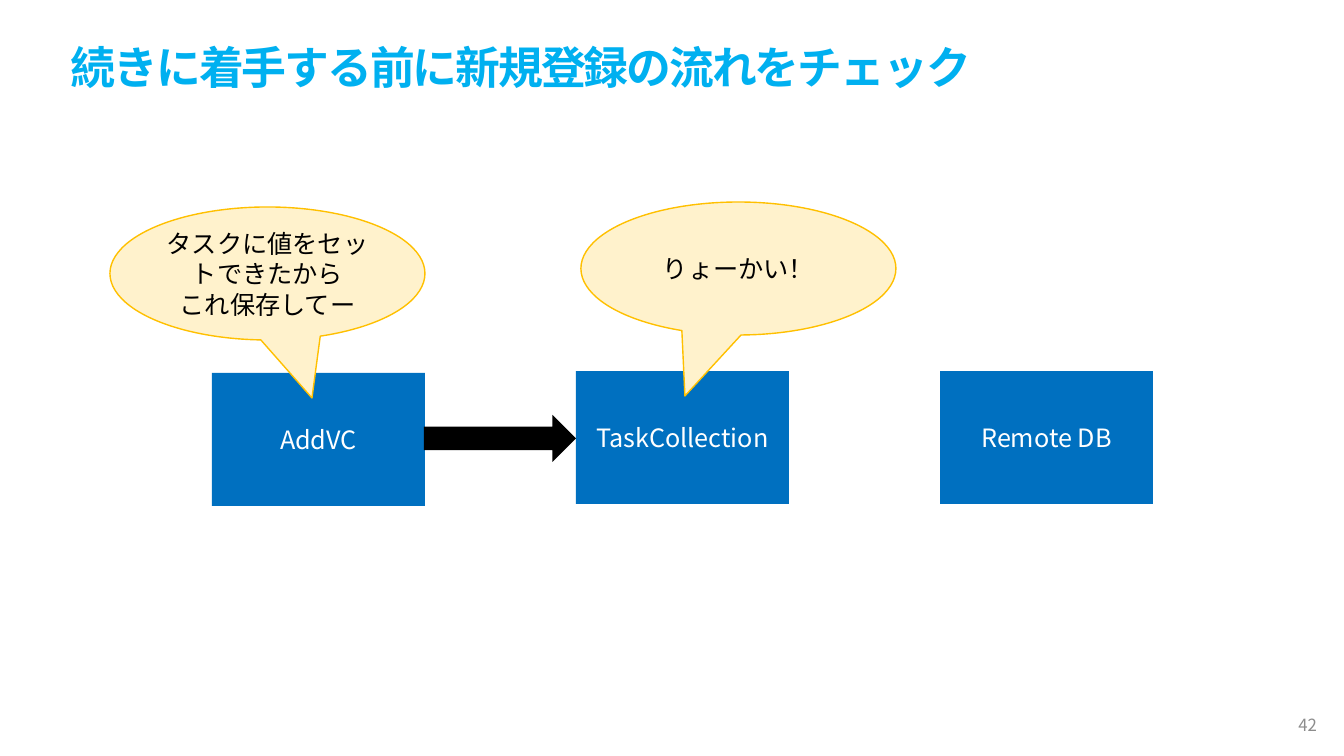
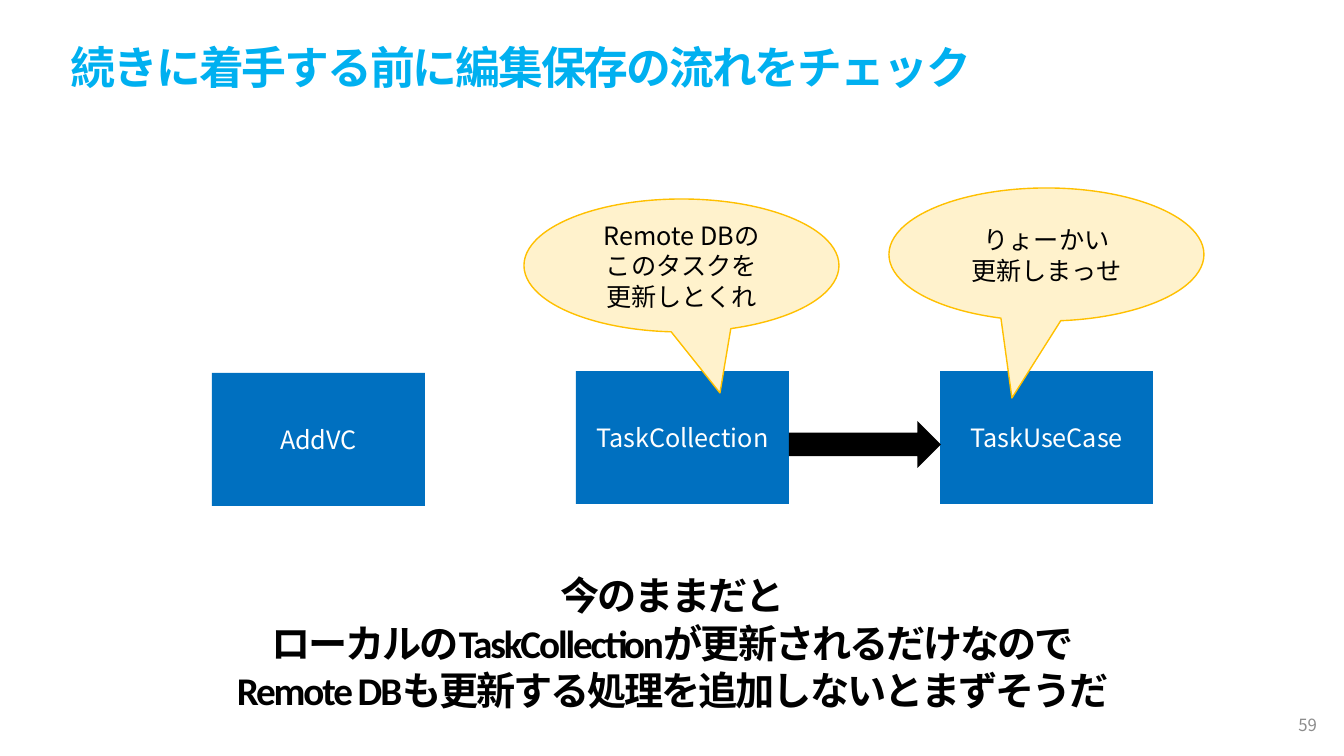
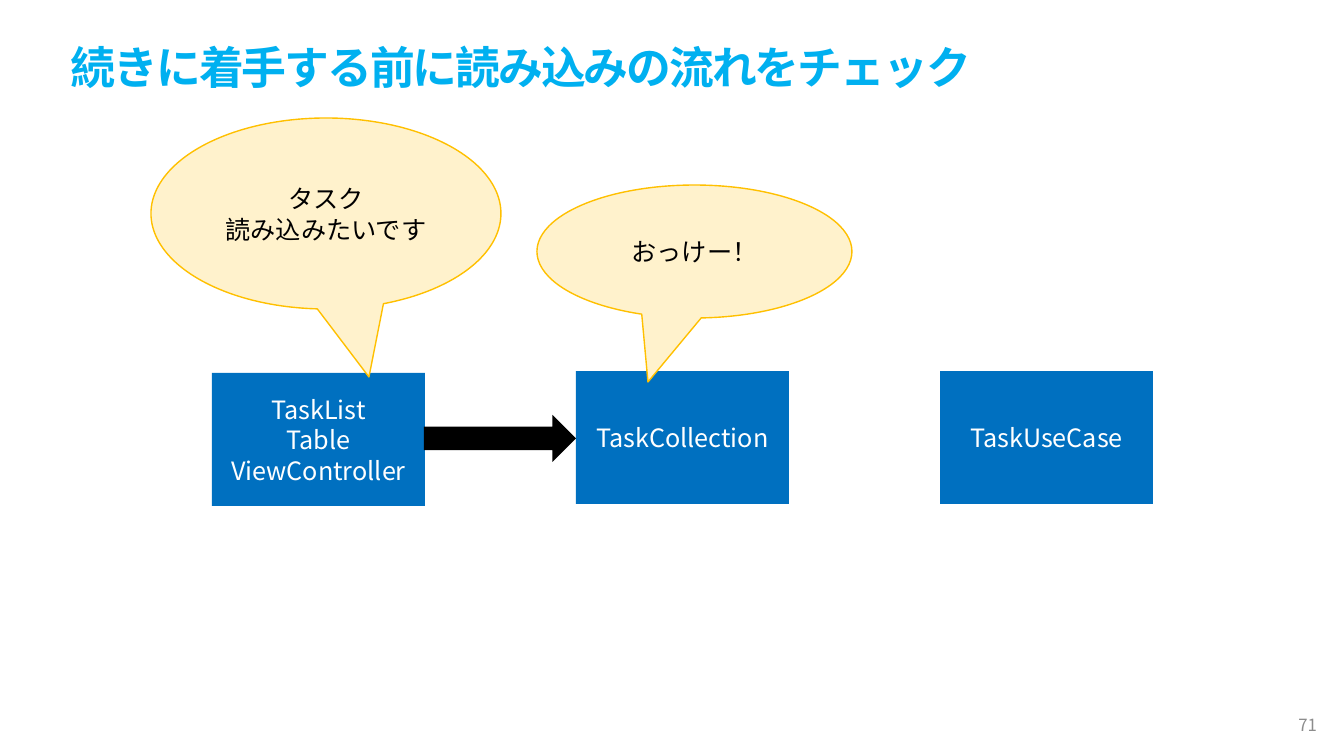
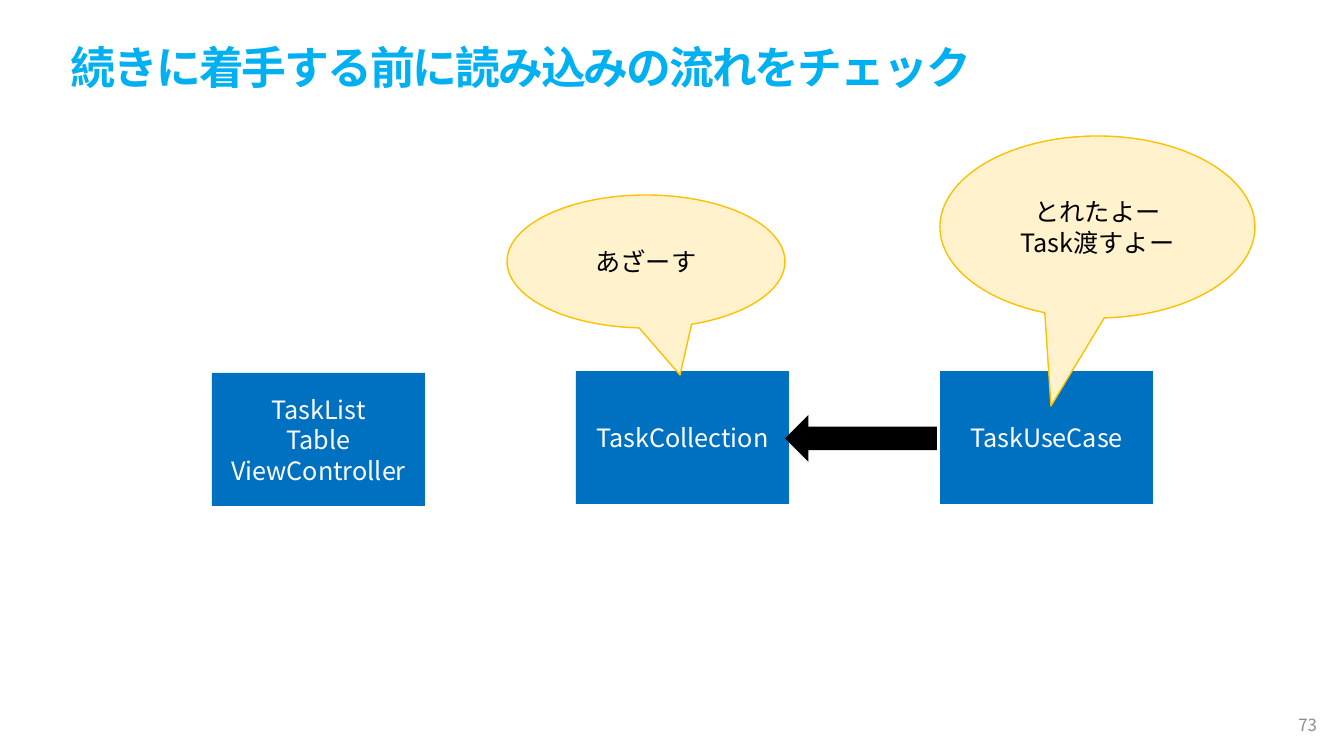
from lxml import etree
from pptx import Presentation
from pptx.dml.color import RGBColor
from pptx.enum.shapes import MSO_SHAPE
from pptx.enum.text import MSO_ANCHOR, PP_ALIGN
from pptx.oxml.ns import qn
from pptx.util import Pt

RECT, CALLOUT = MSO_SHAPE.RECTANGLE, MSO_SHAPE.OVAL_CALLOUT
RIGHT_ARROW, LEFT_ARROW = MSO_SHAPE.RIGHT_ARROW, MSO_SHAPE.LEFT_ARROW
LEFT, CENTER, RIGHT = PP_ALIGN.LEFT, PP_ALIGN.CENTER, PP_ALIGN.RIGHT
MIDDLE = MSO_ANCHOR.MIDDLE

BLACK = RGBColor(0x00, 0x00, 0x00)
WHITE = RGBColor(0xFF, 0xFF, 0xFF)
SKY = RGBColor(0x00, 0xB0, 0xF0)
BLUE = RGBColor(0x00, 0x70, 0xC0)
CREAM = RGBColor(0xFF, 0xF2, 0xCC)
AMBER = RGBColor(0xFF, 0xC0, 0x00)
GRAY = RGBColor(0x8C, 0x8C, 0x8C)

LATIN, JAPANESE = "Calibri", "Noto Sans CJK JP"
LINE_HEIGHT = 1.22

# Content: balloon = (text, (left, top, width, height), tip point)
TITLE = "続きに着手する前に{}の流れをチェック"
LIST_VC = "TaskList\nTable\nViewController"
SLIDES = [
    dict(topic="新規登録", number="42",
         boxes=["AddVC", "TaskCollection", "Remote DB"],
         balloons=[("りょーかい！", (581, 202, 315, 133), (685, 396)),
                   ("タスクに値をセットできたから\nこれ保存してー",
                    (110, 207, 315, 133), (312, 398))],
         arrow=(RIGHT_ARROW, 424, 415)),
    dict(topic="編集保存", number="59",
         boxes=["AddVC", "TaskCollection", "TaskUseCase"],
         balloons=[("りょーかい\n更新しまっせ", (889, 188, 315, 133), (1012, 398)),
                   ("Remote DBの\nこのタスクを\n更新しとくれ",
                    (524, 199, 315, 133), (720, 393))],
         arrow=(RIGHT_ARROW, 789, 421),
         caption="今のままだと\n"
                 "ローカルのTaskCollectionが更新されるだけなので\n"
                 "Remote DBも更新する処理を追加しないとまずそうだ"),
    dict(topic="読み込み", number="71",
         boxes=[LIST_VC, "TaskCollection", "TaskUseCase"],
         balloons=[("タスク\n読み込みたいです", (151, 118, 350, 191), (369, 377)),
                   ("おっけー！", (537, 185, 315, 133), (648, 382))],
         arrow=(RIGHT_ARROW, 424, 415)),
    dict(topic="読み込み", number="73",
         boxes=[LIST_VC, "TaskCollection", "TaskUseCase"],
         balloons=[("あざーす", (507, 195, 278, 133), (680, 375)),
                   ("とれたよー\nTask渡すよー", (940, 136, 315, 182), (1051, 406))],
         arrow=(LEFT_ARROW, 785, 415)),
]

# Layout in px
SLIDE_W, SLIDE_H = 1344, 756
TITLE_AREA = (61, 34, 1243, 65)
NUMBER_AREA = (1025, 705, 302, 40)
CAPTION_AREA = (121, 590, 1103, 104)
BOX_LEFT, BOX_STEP, BOX_W, BOX_H = 212, 364, 213, 133
BOX_TOPS = (373, 371, 371)
ARROW_W, ARROW_H = 152, 47

# Text styles: alignment, letter spacing in 1/100 pt, font attributes
TITLE_STYLE = (LEFT, -150, dict(name=LATIN, size=32, bold=True), SKY)
CAPTION_STYLE = (CENTER, -150, dict(name=LATIN, size=28, bold=True), BLACK)
NUMBER_STYLE = (RIGHT, 0, dict(name=JAPANESE, size=12), GRAY)
BOX_STYLE = (CENTER, 0, dict(name=JAPANESE, size=18), WHITE)
BALLOON_STYLE = (CENTER, 0, dict(name=JAPANESE, size=18), BLACK)


def px(n):
    return round(n * 914400 / 100.8)


def write(sp, text, style):
    align, tracking, font, color = style
    tf = sp.text_frame
    tf.word_wrap = True
    tf.vertical_anchor = MIDDLE
    for i, line in enumerate(text.split("\n")):
        p = tf.add_paragraph() if i else tf.paragraphs[0]
        p.alignment = align
        p.line_spacing = Pt(round(font["size"] * LINE_HEIGHT, 1))
        r = p.add_run()
        r.text = line
        for key, value in font.items():
            setattr(r.font, key, Pt(value) if key == "size" else value)
        r.font.color.rgb = color
        rPr = r._r.get_or_add_rPr()
        if tracking:
            rPr.set("spc", str(tracking))
        etree.SubElement(rPr, qn("a:ea")).set("typeface", JAPANESE)


def add_text(s, area, text, style):
    write(s.shapes.add_textbox(*map(px, area)), text, style)


def add_shape(s, kind, area, fill, line=None):
    sp = s.shapes.add_shape(kind, *map(px, area))
    sp.shadow.inherit = False
    sp.fill.solid()
    sp.fill.fore_color.rgb = fill
    if line is None:
        sp.line.fill.background()
    else:
        sp.line.color.rgb = line
        sp.line.width = Pt(1)
    return sp


def add_balloon(s, text, area, tip):
    sp = add_shape(s, CALLOUT, area, CREAM, AMBER)
    x, y, w, h = area
    sp.adjustments[0] = (tip[0] - x - w / 2) / w
    sp.adjustments[1] = (tip[1] - y - h / 2) / h
    write(sp, text, BALLOON_STYLE)


def build_slide(prs, data):
    s = prs.slides.add_slide(prs.slide_layouts[6])
    # Title and page number
    add_text(s, TITLE_AREA, TITLE.format(data["topic"]), TITLE_STYLE)
    add_text(s, NUMBER_AREA, data["number"], NUMBER_STYLE)
    # Components
    for i, (label, top) in enumerate(zip(data["boxes"], BOX_TOPS)):
        area = (BOX_LEFT + i * BOX_STEP, top, BOX_W, BOX_H)
        write(add_shape(s, RECT, area, BLUE), label, BOX_STYLE)
    # Conversation
    for balloon in data["balloons"]:
        add_balloon(s, *balloon)
    kind, left, top = data["arrow"]
    add_shape(s, kind, (left, top, ARROW_W, ARROW_H), BLACK)
    if "caption" in data:
        add_text(s, CAPTION_AREA, data["caption"], CAPTION_STYLE)


def main():
    prs = Presentation()
    prs.slide_width, prs.slide_height = px(SLIDE_W), px(SLIDE_H)
    for data in SLIDES:
        build_slide(prs, data)
    prs.save("out.pptx")


if __name__ == "__main__":
    main()
